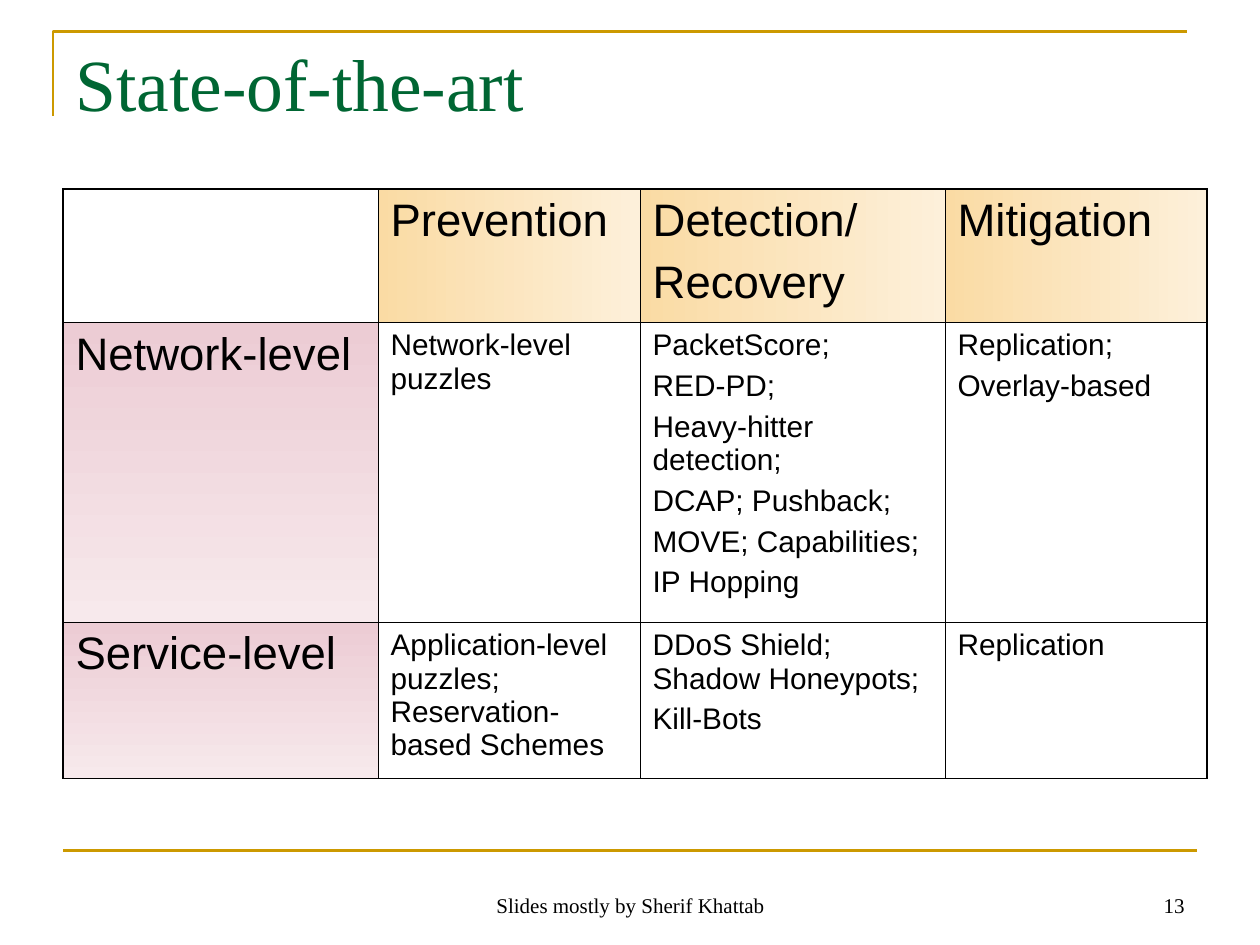
from lxml import etree
from pptx import Presentation, util as u
from pptx.dml.color import RGBColor
from pptx.enum import shapes, text
from pptx.oxml.ns import qn

# Content
TITLE = "State-of-the-art"
FOOTER = "Slides mostly by Sherif Khattab"
NUMBER = "13"
ROWS = [
    [[], ["Prevention"], ["Detection/", "Recovery"], ["Mitigation"]],
    [["Network-level"],
     ["Network-level puzzles"],
     ["PacketScore;", "RED-PD;", "Heavy-hitter detection;", "DCAP; Pushback;",
      "MOVE; Capabilities;", "IP Hopping"],
     ["Replication;", "Overlay-based"]],
    [["Service-level"],
     ["Application-level puzzles; Reservation-based Schemes"],
     ["DDoS Shield; Shadow Honeypots;", "Kill-Bots"],
     ["Replication"]],
]

# Format
COLUMN_WIDTHS = [2.5, 2.08, 2.42, 2.08]
ROW_HEIGHTS = [1.06, 2.38, 1.24]
GOLD, GREEN, BLACK, WHITE = "CC9900", "006633", "000000", "FFFFFF"
HEADER_GRADIENT = (["FADBA4", "FDF0DA"], 0)
LEVEL_GRADIENT = (["ECCCD4", "F7E9EC"], 270)
HEADING = {"size": u.Pt(26), "name": "Arial", "bold": False}
BODY = {**HEADING, "size": u.Pt(17)}
TITLE_FONT = {"size": u.Pt(42), "name": "Times New Roman"}
FOOTER_FONT = {**TITLE_FONT, "size": u.Pt(12)}
OUTER, INNER = 1.08, 0.45


def rgb(value):
    return RGBColor.from_string(value)


def write(paragraph, words, font, color=BLACK):
    run = paragraph.add_run()
    run.text = words
    for key, value in font.items():
        setattr(run.font, key, value)
    run.font.color.rgb = rgb(color)


def add_label(slide, box, words, font, color, align, frame_format):
    frame = slide.shapes.add_textbox(*map(u.Inches, box)).text_frame
    for key, value in {"word_wrap": True, **frame_format}.items():
        setattr(frame, key, value)
    frame.paragraphs[0].alignment = align
    write(frame.paragraphs[0], words, font, color)


def set_borders(cell, widths):
    properties = cell._tc.get_or_add_tcPr()
    for side, width in widths.items():
        line = etree.SubElement(properties, qn(f"a:ln{side}"), w=str(u.Pt(width)))
        solid = etree.SubElement(line, qn("a:solidFill"))
        etree.SubElement(solid, qn("a:srgbClr"), val=BLACK)


def set_fill(cell, gradient):
    if gradient is None:
        cell.fill.solid()
        cell.fill.fore_color.rgb = rgb(WHITE)
        return
    colors, angle = gradient
    cell.fill.gradient()
    cell.fill.gradient_angle = angle
    for stop, color in zip(cell.fill.gradient_stops, colors):
        stop.color.rgb = rgb(color)


def add_matrix(slide):
    last_row, last_column = len(ROWS) - 1, len(COLUMN_WIDTHS) - 1
    matrix = slide.shapes.add_table(
        len(ROWS), len(COLUMN_WIDTHS), u.Inches(0.5), u.Inches(1.5),
        u.Inches(sum(COLUMN_WIDTHS)), u.Inches(sum(ROW_HEIGHTS))).table
    matrix.first_row = matrix.horz_banding = False
    for column, width in zip(matrix.columns, COLUMN_WIDTHS):
        column.width = u.Inches(width)
    for row, height in zip(matrix.rows, ROW_HEIGHTS):
        row.height = u.Inches(height)

    for r, row in enumerate(ROWS):
        for c, lines in enumerate(row):
            cell = matrix.cell(r, c)
            edges = {"L": c == 0, "R": c == last_column,
                     "T": r == 0, "B": r == last_row}
            set_borders(cell, {side: OUTER if edge else INNER
                               for side, edge in edges.items()})
            is_heading = r == 0 or c == 0
            gradient = HEADER_GRADIENT if r == 0 else LEVEL_GRADIENT
            set_fill(cell, gradient if is_heading and lines else None)
            for i, words in enumerate(lines):
                frame = cell.text_frame
                paragraph = frame.add_paragraph() if i else frame.paragraphs[0]
                paragraph.space_before = u.Pt(6.5 if is_heading else 4.2)
                write(paragraph, words, HEADING if is_heading else BODY)


def add_rules(slide):
    # Corner rule around the title
    builder = slide.shapes.build_freeform(u.Inches(0.42), u.Inches(0.92))
    builder.add_line_segments(
        [(u.Inches(0.42), u.Inches(0.25)), (u.Inches(9.42), u.Inches(0.25))],
        close=False)
    corner = builder.convert_to_shape()
    corner.shadow.inherit = False
    corner.fill.background()

    # Rule above the footer
    footer_rule = slide.shapes.add_connector(
        shapes.MSO_CONNECTOR.STRAIGHT, u.Inches(0.5), u.Inches(6.75),
        u.Inches(9.5), u.Inches(6.75))
    etree.SubElement(footer_rule._element.spPr, qn("a:effectLst"))
    for rule in (corner, footer_rule):
        rule.line.color.rgb = rgb(GOLD)
        rule.line.width = u.Pt(1.5)


def main():
    deck = Presentation()
    deck.slide_width, deck.slide_height = u.Inches(10), u.Inches(7.5)
    slide = deck.slides.add_slide(deck.slide_layouts[6])
    add_rules(slide)
    align = text.PP_ALIGN
    bottom = {"vertical_anchor": text.MSO_ANCHOR.BOTTOM}
    top = {"vertical_anchor": text.MSO_ANCHOR.TOP, "margin_top": 0}
    add_label(slide, (3.42, 6.83, 3.17, 0.5), FOOTER, FOOTER_FONT, BLACK,
              align.CENTER, bottom)
    add_label(slide, (7.17, 6.83, 2.33, 0.5), NUMBER, FOOTER_FONT, BLACK,
              align.RIGHT, bottom)
    add_matrix(slide)
    add_label(slide, (0.5, 0.3, 9, 1.25), TITLE, TITLE_FONT, GREEN,
              align.LEFT, top)
    deck.save("out.pptx")


if __name__ == "__main__":
    main()
